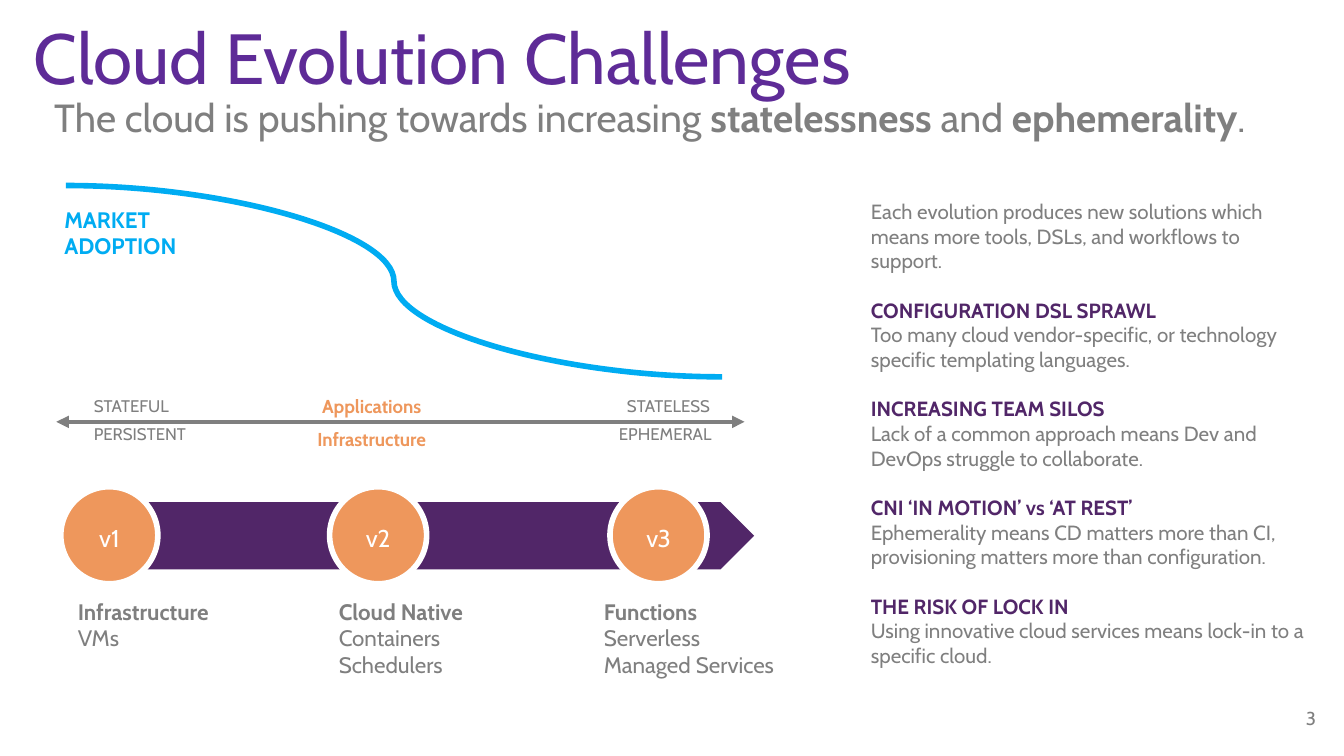
from lxml import etree
from pptx import Presentation
from pptx import util as u
from pptx.dml.color import RGBColor
from pptx.enum import shapes, text
from pptx.oxml.ns import qn

Pt = u.Pt
GREY, PURPLE, ORANGE = "7F7F7F", "512668", "EE975C"
BLUE, VIOLET, WHITE = "00ACF2", "5E2B97", "FFFFFF"
LEFT, MID, RIGHT = text.PP_ALIGN.LEFT, text.PP_ALIGN.CENTER, text.PP_ALIGN.RIGHT


def color(code):
    return RGBColor.from_string(code)


def write(slide, box, lines, size, hue=GREY, align=LEFT, middle=False):
    """Add a text box; each line is (words, bold) or (words, bold, hue, gap)."""
    frame = slide.shapes.add_textbox(*map(Pt, box)).text_frame
    frame.word_wrap = True
    frame.margin_left = frame.margin_right = Pt(7.2)
    frame.margin_top = frame.margin_bottom = Pt(7.2)
    if middle:
        frame.vertical_anchor = text.MSO_ANCHOR.MIDDLE
    for i, (words, bold, *rest) in enumerate(lines):
        para = frame.paragraphs[0] if i == 0 else frame.add_paragraph()
        tint, gap = rest or (hue, 0)
        para.text = words
        para.alignment = align
        para.space_before = Pt(gap)
        font = para.font
        font.name, font.size, font.bold = "Cabin", Pt(size), bold
        font.color.rgb = color(tint)
    return frame


def shape(slide, kind, box, fill, edge=None):
    item = slide.shapes.add_shape(kind, *map(Pt, box))
    item.shadow.inherit = False
    item.fill.solid()
    item.fill.fore_color.rgb = color(fill)
    if edge:
        item.line.color.rgb = color(edge)
        item.line.width = Pt(3)
    else:
        item.line.fill.background()


def line(slide, kind, ends, hue, width, arrows=False):
    item = slide.shapes.add_connector(kind, *map(Pt, ends))
    item.line.color.rgb = color(hue)
    item.line.width = Pt(width)
    props = item._element.spPr
    if arrows:
        for tag in ("a:headEnd", "a:tailEnd"):
            etree.SubElement(props.find(qn("a:ln")), qn(tag), type="triangle")
    etree.SubElement(props, qn("a:effectLst"))


def heading(slide):
    write(slide, (10.8, 0, 671, 59), [("Cloud Evolution Challenges", False)], 38, VIOLET)
    frame = write(slide, (22, 42.8, 698, 40.3), [("", False)], 21)
    for words, bold in [
        ("The cloud is pushing towards increasing ", False),
        ("statelessness", True),
        (" and ", False),
        ("ephemerality", True),
        (".", False),
    ]:
        run = frame.paragraphs[0].add_run()
        run.text = words
        run.font.bold = bold


def notes(slide):
    lines = [("Each evolution produces new solutions which means more tools, "
              "DSLs, and workflows to support.", False)]
    for head, body in [
        ("CONFIGURATION DSL SPRAWL",
         "Too many cloud vendor-specific, or technology specific templating languages."),
        ("INCREASING TEAM SILOS",
         "Lack of a common approach means Dev and DevOps struggle to collaborate."),
        ("CNI ‘IN MOTION’ vs ‘AT REST’",
         "Ephemerality means CD matters more than CI, "
         "provisioning matters more than configuration."),
        ("THE RISK OF LOCK IN",
         "Using innovative cloud services means lock-in to a specific cloud."),
    ]:
        lines += [(head, True, PURPLE, 13.2), (body, False)]
    write(slide, (459.4, 99.5, 252.7, 136.8), lines, 11)


def stages(slide):
    shape(slide, shapes.MSO_SHAPE.PENTAGON, (67, 269, 337, 36), PURPLE)
    for mark, mid, left, wide, names in [
        ("v1", 58.6, 34.6, 121, ["Infrastructure", "VMs"]),
        ("v2", 202.6, 174.4, 121, ["Cloud Native", "Containers", "Schedulers"]),
        ("v3", 352.8, 316.4, 113, ["Functions", "Serverless", "Managed Services"]),
    ]:
        shape(slide, shapes.MSO_SHAPE.OVAL, (mid - 26, 260.8, 52, 52), ORANGE, WHITE)
        write(slide, (mid - 60.5, 272.9, 121, 28), [(mark, False)], 13, WHITE, MID)
        lines = [(name, i == 0) for i, name in enumerate(names)]
        write(slide, (left, 313, wide, 64), lines, 12)


def axis(slide):
    line(slide, shapes.MSO_CONNECTOR.STRAIGHT, (398.9, 226, 30.2, 226), GREY, 2.25, True)
    for words, left, top, size, hue, align in [
        ("STATEFUL", 43.2, 206.8, 9, GREY, LEFT),
        ("PERSISTENT", 43.2, 221.8, 9, GREY, LEFT),
        ("Applications", 141.1, 205.6, 10, ORANGE, MID),
        ("Infrastructure", 141.1, 223, 10, ORANGE, MID),
        ("STATELESS", 271.4, 206.8, 9, GREY, RIGHT),
        ("EPHEMERAL", 272.2, 221.8, 9, GREY, RIGHT),
    ]:
        write(slide, (left, top, 116, 24.5), [(words, align == MID)], size, hue, align)


def main():
    deck = Presentation()
    deck.slide_width, deck.slide_height = Pt(720), Pt(405)
    slide = deck.slides.add_slide(deck.slide_layouts[6])
    heading(slide)
    notes(slide)
    line(slide, shapes.MSO_CONNECTOR.CURVE, (35.3, 99.4, 386.9, 201.9), BLUE, 3)
    write(slide, (27.4, 106.6, 129, 36), [("MARKET", True), ("ADOPTION", True)],
          12, BLUE, middle=True)
    axis(slide)
    stages(slide)
    write(slide, (668.9, 369.4, 43.2, 31), [("3", False)], 10, align=RIGHT, middle=True)
    deck.save("out.pptx")


if __name__ == "__main__":
    main()
